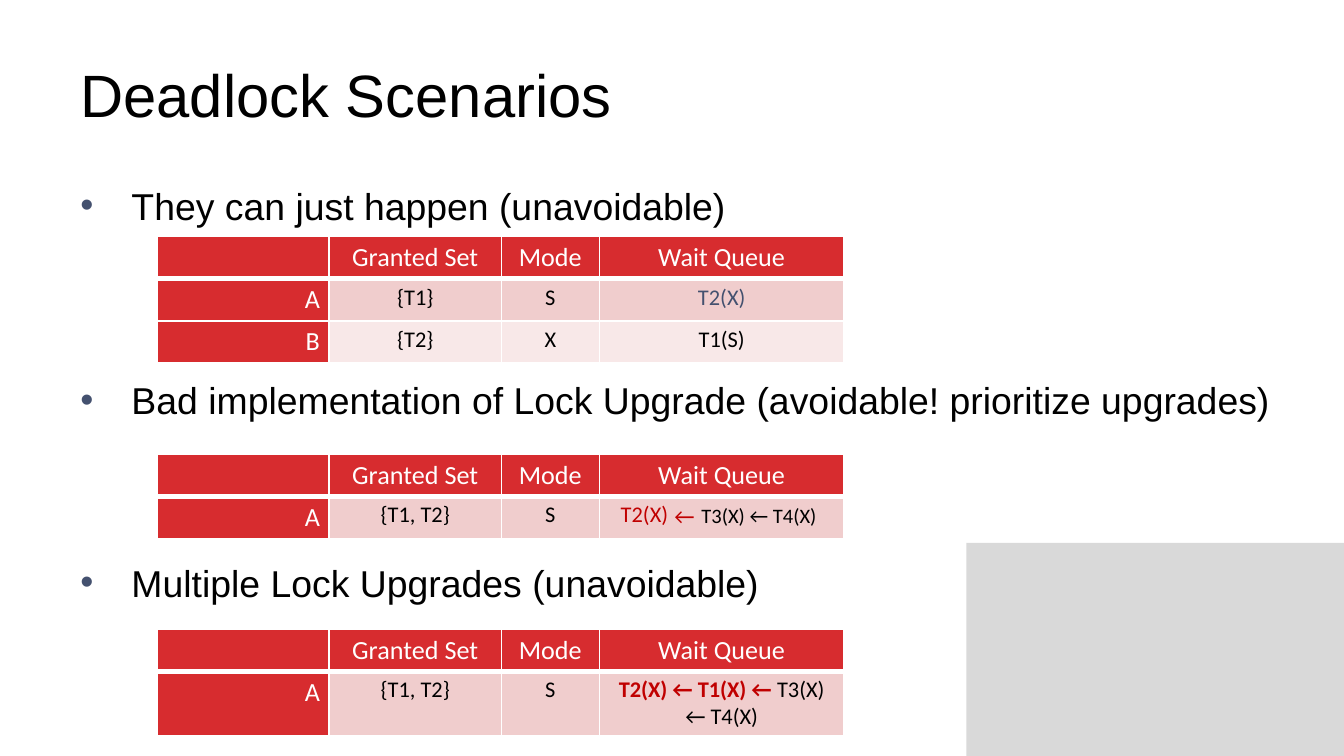
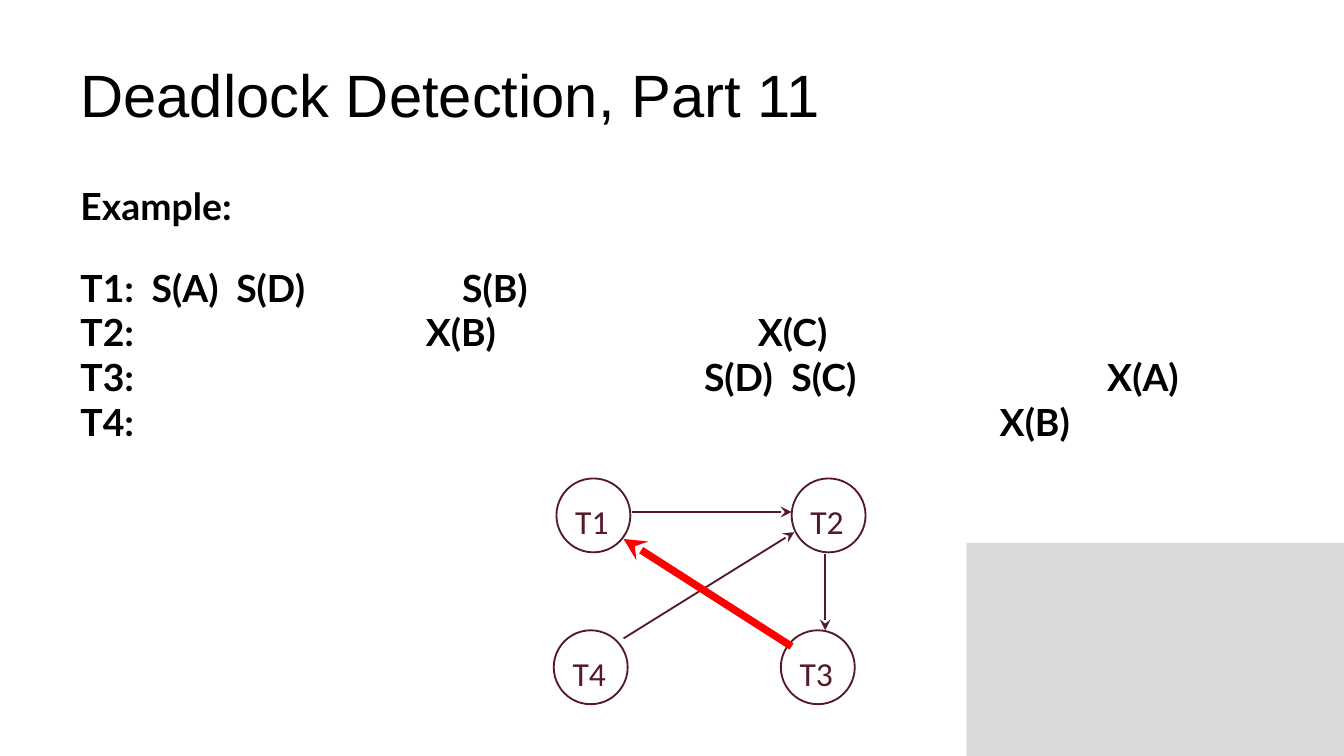
from dataclasses import dataclass

from lxml.etree import SubElement as add_element
from pptx import Presentation
from pptx.dml.color import RGBColor as Color
from pptx.enum.shapes import MSO_CONNECTOR as Connector, MSO_SHAPE as Preset
from pptx.enum.text import MSO_ANCHOR as Anchor, MSO_AUTO_SIZE as AutoSize, PP_ALIGN as Align
from pptx.oxml.ns import qn
from pptx.util import Inches, Pt

GRID_COLUMNS, GRID_ROWS = 100, 56.25


@dataclass(frozen=True)
class Theme:
    """Colours, fonts and type sizes of the deck."""
    black: str = "000000"
    white: str = "FFFFFF"
    panel: str = "D9D9D9"
    slate: str = "44516F"
    header: str = "D72C2F"
    bands: tuple = ("F0CDCD", "F8E8E8")
    wait: str = "C00000"
    graph: str = "541B27"
    cycle: str = "FF0000"
    heading_font: str = "Arial"
    schedule_font: str = "Lato"
    detail_font: str = "Calibri"
    title_size: int = 32
    body_size: int = 20
    node_size: int = 18
    header_size: int = 14
    cell_size: int = 12
    note_size: int = 11


def write_text(paragraph, text, font, size, color, bold=False, align=None, before=None, after=None):
    """Append a formatted run to a paragraph and set the paragraph's layout."""
    run = paragraph.add_run()
    run.text = text
    run.font.name, run.font.size, run.font.bold = font, Pt(size), bold
    run.font.color.rgb = Color.from_string(color)
    if align is not None:
        paragraph.alignment = align
    if before is not None:
        paragraph.space_before = Pt(before)
    if after is not None:
        paragraph.space_after = Pt(after)


def border_cell(cell, color, bottom):
    """Draw the four borders of a table cell, with its own bottom width."""
    properties = cell._tc.get_or_add_tcPr()
    for index, (side, width) in enumerate(zip("LRTB", (1, 1, 1, bottom))):
        line = add_element(properties, qn(f"a:ln{side}"), w=str(Pt(width)))
        fill = add_element(line, qn("a:solidFill"))
        add_element(fill, qn("a:srgbClr"), val=color)
        properties.insert(index, line)


class Deck:
    """Holds the theme and the current slide and draws on a grid."""

    def __init__(self, theme):
        self.theme = theme
        self.presentation = Presentation()
        self.presentation.slide_width = Inches(10)
        self.presentation.slide_height = Inches(5.625)
        self.cell_width = self.presentation.slide_width / GRID_COLUMNS
        self.cell_height = self.presentation.slide_height / GRID_ROWS
        self.slide = None

    def place(self, *lengths):
        """Turn alternating columns and rows into slide lengths."""
        units = (self.cell_width, self.cell_height)
        return [round(length * units[i % 2]) for i, length in enumerate(lengths)]

    def add_slide(self, title):
        """Start a slide with the corner panel and its title."""
        theme = self.theme
        self.slide = self.presentation.slides.add_slide(self.presentation.slide_layouts[6])
        self.shape(Preset.RECTANGLE, 71.9, 40.4, 28.1, 15.85, fill=theme.panel)
        frame = self.text_frame(5, 2.3, 90, 9.4)
        frame.vertical_anchor = Anchor.MIDDLE
        write_text(frame.paragraphs[0], title, theme.heading_font, theme.title_size, theme.black)

    def shape(self, preset, *box, fill=None, line=None):
        """Add a preset shape with an optional fill and outline."""
        shape = self.slide.shapes.add_shape(preset, *self.place(*box))
        shape.shadow.inherit = False
        for target, color in ((shape.fill, fill), (shape.line.fill, line)):
            if color:
                target.solid()
                target.fore_color.rgb = Color.from_string(color)
            else:
                target.background()
        if line:
            shape.line.width = Pt(1)

    def text_frame(self, *box):
        """Add a wrapping text box and return its frame."""
        frame = self.slide.shapes.add_textbox(*self.place(*box)).text_frame
        frame.word_wrap = True
        return frame

    def label(self, text, *box, size, color, inset=(1, 0.5)):
        """Add a short text that grows with its content."""
        frame = self.text_frame(*box)
        frame.word_wrap, frame.auto_size = False, AutoSize.SHAPE_TO_FIT_TEXT
        frame.margin_left, frame.margin_top = self.place(*inset)
        frame.margin_right, frame.margin_bottom = self.place(*inset)
        write_text(frame.paragraphs[0], text, self.theme.detail_font, size, color)

    def bullets(self, items, *box):
        """Add bulleted paragraphs given as text, space before and space after."""
        theme, frame = self.theme, self.text_frame(*box)
        for index, (text, before, after) in enumerate(items):
            paragraph = frame.add_paragraph() if index else frame.paragraphs[0]
            properties = paragraph._p.get_or_add_pPr()
            indent = self.place(3.8)[0]
            properties.set("marL", str(indent))
            properties.set("indent", str(-indent))
            color = add_element(properties, qn("a:buClr"))
            add_element(color, qn("a:srgbClr"), val=theme.slate)
            add_element(properties, qn("a:buFont"), typeface=theme.heading_font)
            add_element(properties, qn("a:buChar"), char="•")
            write_text(paragraph, text, theme.heading_font, theme.body_size, theme.black,
                       before=before, after=after)

    def schedule(self, heading, rows, *box):
        """Add a heading and transactions whose actions sit at tab stops."""
        theme, frame = self.theme, self.text_frame(*box)
        style = dict(font=theme.schedule_font, size=theme.body_size, color=theme.black, bold=True)
        write_text(frame.paragraphs[0], heading, after=20, **style)
        for name, actions in rows:
            paragraph = frame.add_paragraph()
            tabs = add_element(paragraph._p.get_or_add_pPr(), qn("a:tabLst"))
            for column, _ in actions:
                add_element(tabs, qn("a:tab"), pos=str(self.place(column)[0]), algn="l")
            write_text(paragraph, "\t".join([name, *(action for _, action in actions)]), **style)

    def lock_table(self, top, rows, heights):
        """Add a lock table; a cell is text or a list of text and colour and weight."""
        theme = self.theme
        widths = (12.8, 12.8, 7.3, 18.2)
        records = [("", "Granted Set", "Mode", "Wait Queue"), *rows]
        box = self.place(11.7, top, sum(widths), sum(heights))
        table = self.slide.shapes.add_table(len(records), len(widths), *box).table
        for column, width in zip(table.columns, widths):
            column.width = self.place(width)[0]
        for r, (record, height) in enumerate(zip(records, heights)):
            table.rows[r].height = self.place(0, height)[1]
            for c, content in enumerate(record):
                cell, is_header = table.cell(r, c), r == 0 or c == 0
                cell.margin_left, cell.margin_top = self.place(0.7, 0.4)
                cell.margin_right, cell.margin_bottom = self.place(0.7, 0.4)
                cell.fill.solid()
                cell.fill.fore_color.rgb = Color.from_string(
                    theme.header if is_header else theme.bands[(r - 1) % 2])
                border_cell(cell, theme.white, 1 if r else 3)
                size = theme.header_size if is_header else theme.cell_size
                color = theme.white if is_header else theme.black
                paragraph = cell.text_frame.paragraphs[0]
                if not content:
                    add_element(paragraph._p, qn("a:endParaRPr"), sz=str(size * 100))
                    continue
                runs = [(content, color, False)] if isinstance(content, str) else content
                for text, run_color, bold in runs:
                    write_text(paragraph, text, theme.detail_font, size, run_color, bold,
                               align=Align.RIGHT if r and c == 0 else Align.CENTER)

    def arrow(self, *ends, color, width=1):
        """Add a straight line with a stealth arrowhead at its end."""
        connector = self.slide.shapes.add_connector(Connector.STRAIGHT, *self.place(*ends))
        connector.line.color.rgb = Color.from_string(color)
        connector.line.width = Pt(width)
        add_element(connector.line._get_or_add_ln(), qn("a:tailEnd"), type="stealth")
        add_element(connector._element.spPr, qn("a:effectLst"))

    def node(self, name, left, top):
        """Add a named circle of the waits-for graph."""
        theme = self.theme
        self.shape(Preset.OVAL, left, top, 5.5, 5.5, line=theme.graph)
        self.label(name, left + 0.7, top + 1.25, 4, 3.8, size=theme.node_size,
                   color=theme.graph, inset=(0.7, 0.4))


def build_scenarios(deck):
    """Build the slide of three deadlock scenarios."""
    theme = deck.theme
    deck.add_slide("Deadlock Scenarios")
    deck.bullets([
        ("They can just happen (unavoidable)", None, None),
        ("Bad implementation of Lock Upgrade (avoidable! prioritize upgrades)", 80, 70),
        ("Multiple Lock Upgrades (unavoidable)", 4, None),
    ], 5, 13.1, 92.5, 37.1)
    deck.lock_table(46.8, [("A", "{T1, T2}", "S", [
        ("T2(X) ← T1(X) ← ", theme.wait, True), ("T3(X) ← T4(X)", theme.black, False),
    ])], (3.1, 4.7))
    deck.lock_table(17.6, [
        ("A", "{T1}", "S", [("T2(X)", theme.slate, False)]),
        ("B", "{T2}", "X", "T1(S)"),
    ], (3.1,) * 3)
    deck.lock_table(33.8, [("A", "{T1, T2}", "S", "")], (3.1,) * 2)
    deck.label("←", 49.2, 36.9, 4.1, 3, size=theme.cell_size, color=theme.wait)
    deck.label("T2(X)", 45.2, 36.7, 6.1, 3, size=theme.cell_size, color=theme.wait)
    deck.label("T3(X) ← T4(X)", 51.2, 36.9, 10.8, 2.9, size=theme.note_size, color=theme.black)


def build_detection(deck):
    """Build the slide of the schedule and its waits-for graph."""
    theme = deck.theme
    deck.add_slide("Deadlock Detection, Part 11")
    deck.schedule("Example:", [
        ("T1:", [(5.3, "S(A)"), (11.6, "S(D)"), (28.4, "S(B)")]),
        ("T2:", [(25.7, "X(B)"), (50.4, "X(C)")]),
        ("T3:", [(46.4, "S(D)"), (52.9, "S(C)"), (76.4, "X(A)")]),
        ("T4:", [(68.4, "X(B)")]),
    ], 5, 13.1, 90, 37.1)
    deck.arrow(46.4, 47.5, 59.1, 39.6, color=theme.graph)
    deck.arrow(61.4, 41.2, 61.4, 46.9, color=theme.graph)
    for name, left, top in (("T1", 41.4, 35.6), ("T2", 58.9, 35.6),
                            ("T4", 41.2, 46.9), ("T3", 58.1, 46.9)):
        deck.node(name, left, top)
    deck.arrow(47, 38.1, 58.9, 38.1, color=theme.graph)
    deck.arrow(58.9, 48.1, 46.4, 40.1, color=theme.cycle, width=4)


def main():
    """Build both slides and save the deck."""
    deck = Deck(Theme())
    build_scenarios(deck)
    build_detection(deck)
    deck.presentation.save("out.pptx")


if __name__ == "__main__":
    main()
